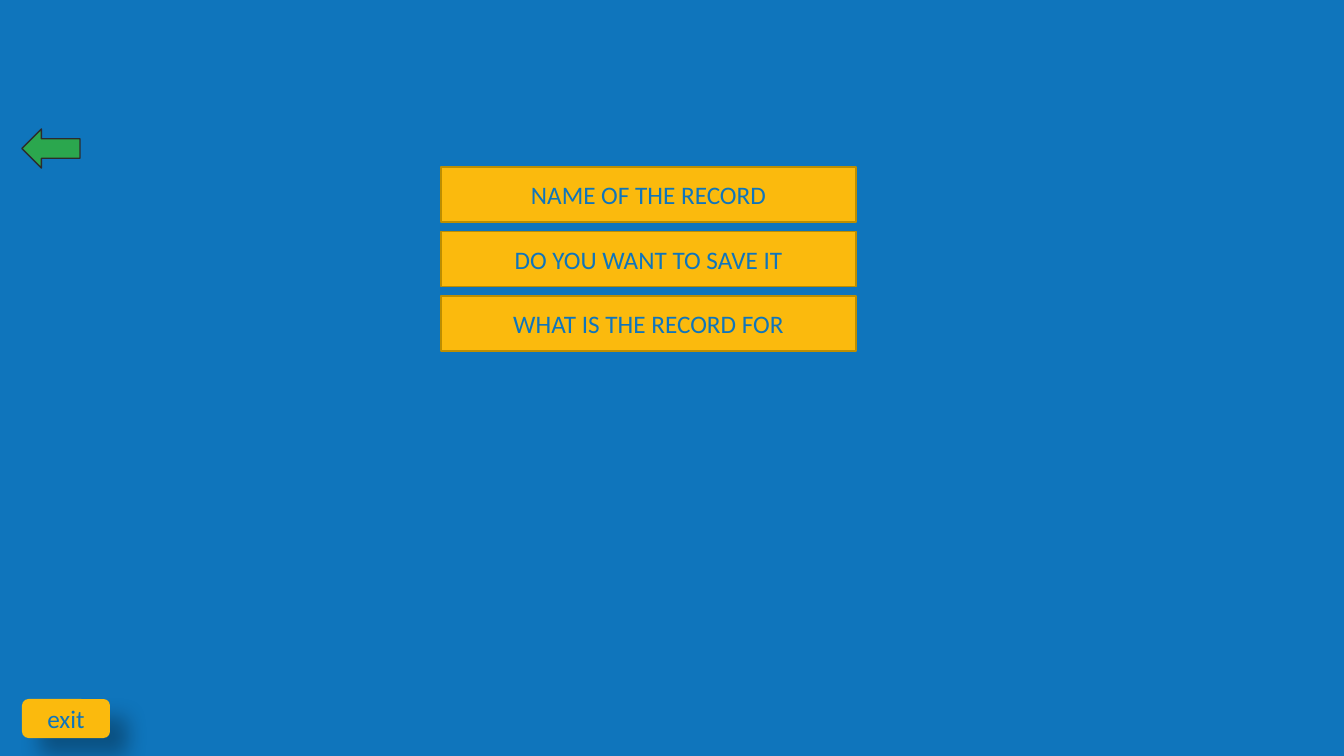
from lxml.etree import SubElement
from pptx import Presentation
from pptx.dml.color import RGBColor
from pptx.enum.shapes import MSO_SHAPE
from pptx.enum.text import MSO_ANCHOR, PP_ALIGN
from pptx.oxml.ns import qn
from pptx.util import Pt

COLORS = {
    "blue": "0F75BC",
    "yellow": "FBBA0D",
    "gold": "BD8E00",
    "green": "2BA74E",
    "charcoal": "2C2C2C",
    "black": "000000",
}
FONT = "Calibri"
BLANK_LAYOUT = 6
SLIDE_WIDTH, SLIDE_HEIGHT = 1344, 756
QUESTIONS = ["NAME OF THE RECORD", "DO YOU WANT TO SAVE IT", "WHAT IS THE RECORD FOR"]


def pixels(length):
    return round(length * 12192000 / SLIDE_WIDTH)


def color(name):
    return RGBColor.from_string(COLORS[name])


def add_box(slide, kind, box, fill, line=None, text=""):
    shape = slide.shapes.add_shape(kind, *map(pixels, box))
    shape.shadow.inherit = False
    shape.fill.solid()
    shape.fill.fore_color.rgb = color(fill)
    if line:
        shape.line.color.rgb = color(line)
        shape.line.width = Pt(1)
    else:
        shape.line.fill.background()
    if text:
        write_label(shape, text)
    return shape


def write_label(shape, text):
    text_frame = shape.text_frame
    text_frame.text = text
    text_frame.vertical_anchor = MSO_ANCHOR.MIDDLE
    paragraph = text_frame.paragraphs[0]
    paragraph.alignment = PP_ALIGN.CENTER
    font = paragraph.runs[0].font
    font.name = FONT
    font.size = Pt(18)
    font.color.rgb = color("blue")


def add_shadow(shape, blur, distance, degrees, opacity):
    effects = shape.element.spPr.find(qn("a:effectLst"))
    shadow = SubElement(
        effects,
        qn("a:outerShdw"),
        blurRad=str(Pt(blur)),
        dist=str(Pt(distance)),
        dir=str(degrees * 60000),
        algn="tl",
        rotWithShape="0",
    )
    shade = SubElement(shadow, qn("a:srgbClr"), val=COLORS["black"])
    SubElement(shade, qn("a:alpha"), val=str(opacity * 1000))


def add_questions(slide, box):
    left, top, width, height = box
    row_height = 55
    step = (height - row_height) / (len(QUESTIONS) - 1)
    for index, question in enumerate(QUESTIONS):
        row = (left, top + index * step, width, row_height)
        add_box(slide, MSO_SHAPE.RECTANGLE, row, "yellow", "gold", question)


def add_navigation(slide, box):
    left, top, width, height = box
    button_height = 39
    add_box(slide, MSO_SHAPE.LEFT_ARROW, (left, top, 58, button_height), "green", "charcoal")
    exit_box = (left, top + height - button_height, width, button_height)
    exit_button = add_box(slide, MSO_SHAPE.ROUNDED_RECTANGLE, exit_box, "yellow", text="exit")
    add_shadow(exit_button, blur=15, distance=18, degrees=45, opacity=30)


def build_record_slide(presentation):
    slide = presentation.slides.add_slide(presentation.slide_layouts[BLANK_LAYOUT])
    slide.background.fill.solid()
    slide.background.fill.fore_color.rgb = color("blue")
    add_questions(slide, (441, 167, 415, 184))
    add_navigation(slide, (22, 129, 88, 609))


presentation = Presentation()
presentation.slide_width = pixels(SLIDE_WIDTH)
presentation.slide_height = pixels(SLIDE_HEIGHT)
build_record_slide(presentation)
presentation.save("out.pptx")
